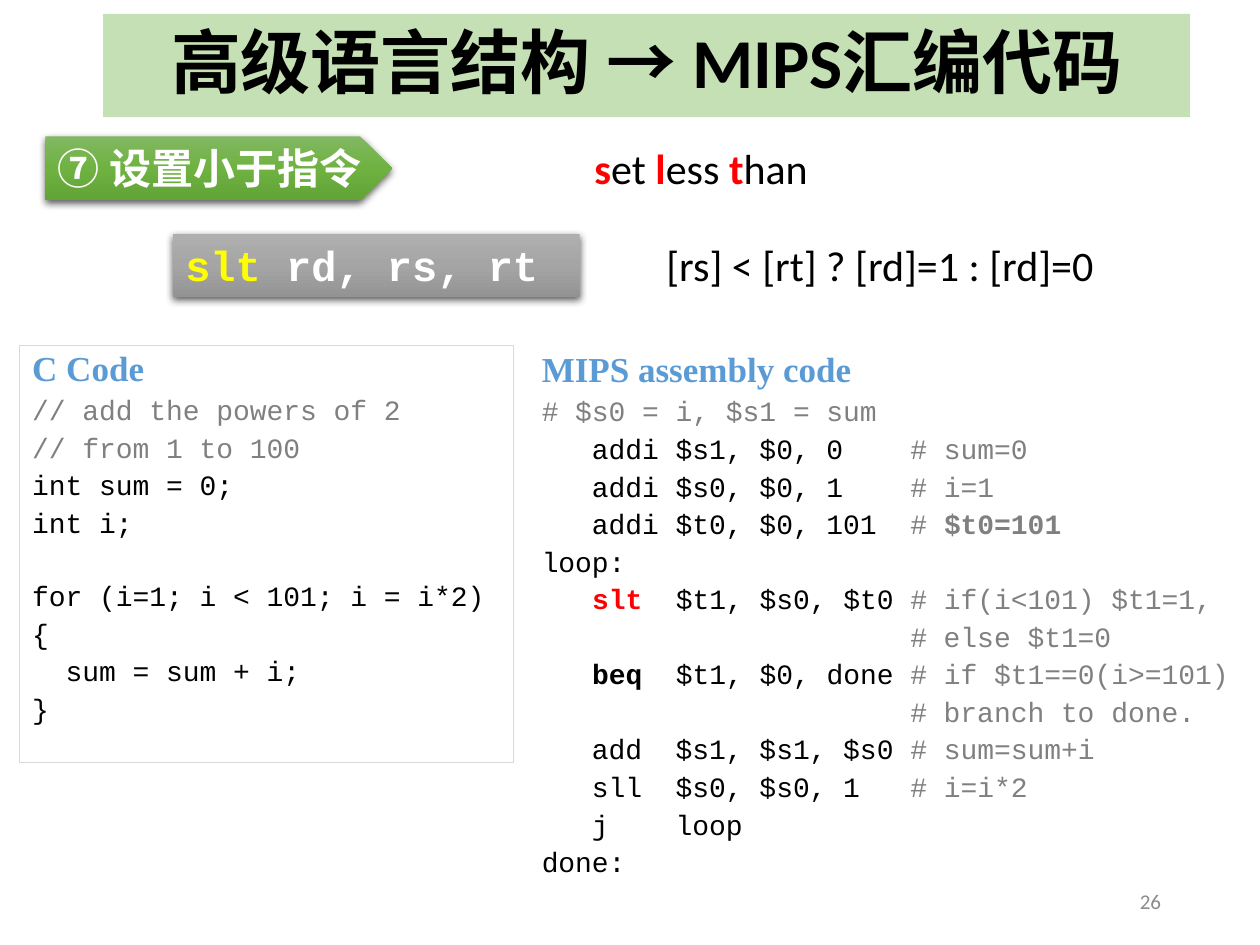
import copy
import lxml.etree
import pptx
import pptx.util
import pptx.dml.color
import pptx.enum.shapes
import pptx.enum.text
import pptx.oxml
import pptx.oxml.ns

Pt = pptx.util.Pt
RGB = pptx.dml.color.RGBColor.from_string
Kind = pptx.enum.shapes.MSO_SHAPE
Side = pptx.enum.text.PP_ALIGN
Hold = pptx.enum.text.MSO_ANCHOR

HUES = {
    "black": "000000", "white": "FFFFFF", "red": "FF0000", "yellow": "FFFF00",
    "note": "808080", "head": "5B9BD5", "edge": "D9D9D9", "band": "C5E0B4", "page": "8C8C8C",
}
GREEN = ["81B861", "6FB242", "62A336"]
GRAY = ["AFAFAF", "A5A5A5", "939393"]
SHADE = (
    f'<a:effectLst {pptx.oxml.ns.nsdecls("a")}>'
    '<a:outerShdw blurRad="57150" dist="19050" dir="5400000" algn="ctr" rotWithShape="0">'
    '<a:srgbClr val="000000"><a:alpha val="63000"/></a:srgbClr>'
    '</a:outerShdw></a:effectLst>'
)


def put(para, text, hue="black", bold=False, size=24, face="Calibri"):
    """Add one run of text to a paragraph."""
    run = para.add_run()
    run.text = text
    run.font.size = Pt(size)
    run.font.name = face
    run.font.bold = bold
    run.font.color.rgb = RGB(HUES[hue])


class Deck:
    """Hold the style and the current slide."""

    code = {"size": 16, "face": "Courier New"}
    title = {"size": 20, "face": "Times New Roman", "hue": "head", "bold": True}
    gap = 4.2
    skip = 24.7

    def __init__(self):
        """Start a deck with one blank slide."""
        self.show = pptx.Presentation()
        self.show.slide_width, self.show.slide_height = Pt(720), Pt(540)
        self.slide = self.show.slides.add_slide(self.show.slide_layouts[6])

    def shape(self, kind, box, fill=None, line=None):
        """Draw a preset shape with a plain fill and line."""
        item = self.slide.shapes.add_shape(kind, *map(Pt, box))
        item.shadow.inherit = False
        if fill:
            item.fill.solid()
            item.fill.fore_color.rgb = RGB(HUES[fill])
        else:
            item.fill.background()
        if line:
            item.line.color.rgb = RGB(HUES[line])
            item.line.width = Pt(0.75)
        else:
            item.line.fill.background()
        return item

    def badge(self, kind, box, tones):
        """Draw a shape with a three-tone gradient and a soft shadow."""
        item = self.shape(kind, box)
        item.fill.gradient()
        item.fill.gradient_angle = 270
        props = item.element.spPr
        first = props.find(".//" + pptx.oxml.ns.qn("a:gs"))
        mid = copy.deepcopy(first)
        mid.set("pos", "50000")
        first.addnext(mid)
        for stop, tone in zip(item.fill.gradient_stops, tones):
            stop.color.rgb = RGB(tone)
        old = props.find(pptx.oxml.ns.qn("a:effectLst"))
        props.replace(old, pptx.oxml.parse_xml(SHADE))
        return item

    def area(self, box):
        """Add an empty text box."""
        return self.slide.shapes.add_textbox(*map(Pt, box))

    def label(self, item, parts, side=Side.LEFT, hold=Hold.TOP, wrap=False, **fmt):
        """Write one line of runs in a shape."""
        frame = item.text_frame
        frame.word_wrap = wrap
        frame.vertical_anchor = hold
        para = frame.paragraphs[0]
        para.alignment = side
        for text, *look in parts:
            put(para, text, *look, **fmt)
        return para

    def listing(self, item, head, lines, breaks=()):
        """Write a heading and lines of code, with a wider gap at each break."""
        para = self.label(item, [], wrap=True)
        para.line_spacing = 0.9
        put(para, head, **self.title)
        for row, parts in enumerate(lines):
            para = item.text_frame.add_paragraph()
            para.alignment = Side.LEFT
            para.line_spacing = 0.9
            para.space_before = Pt(self.skip if row in breaks else self.gap)
            for text, *look in parts:
                put(para, text, *look, **self.code)


def main():
    """Build the slide and save it."""
    deck = Deck()
    band = deck.shape(Kind.RECTANGLE, (59, 8, 621, 59), "band")
    para = deck.label(band, [("高级语言结构 → MIPS汇编代码", "black", True)],
                      Side.CENTER, Hold.MIDDLE, True, size=40)
    para.line_spacing = 0.9

    topic = deck.badge(Kind.PENTAGON, (26, 78, 198, 36.4), GREEN)
    deck.label(topic, [("⑦ 设置小于指令", "white", True)])

    c_box = deck.shape(Kind.RECTANGLE, (11.3, 197.3, 282.2, 238.3), line="edge")
    deck.listing(c_box, "C Code", [
        [("// add the powers of 2", "note")],
        [("// from 1 to 100", "note")],
        [("int sum = 0;",)],
        [("int i;",)],
        [("for (i=1; i < 101; i = i*2)",)],
        [("{",)],
        [("  sum = sum + i;",)],
        [("}",)],
    ], breaks=(4,))

    asm = deck.area((302.5, 198, 410, 324))
    deck.listing(asm, "MIPS assembly code", [
        [("# $s0 = i, $s1 = sum", "note")],
        [("   addi $s1, $0, 0    ",), ("# sum=0", "note")],
        [("   addi $s0, $0, 1    ",), ("# i=1", "note")],
        [("   addi $t0, $0, 101  ",), ("# ", "note"), ("$t0=101", "note", True)],
        [("loop:",)],
        [("   ",), ("slt  ", "red", True), ("$t1, $s0, $t0 ",), ("# if(i<101) $t1=1,", "note")],
        [("                      # else $t1=0", "note")],
        [("   ",), ("beq  ", "black", True), ("$t1, $0, done ",), ("# if $t1==0(i>=101)", "note")],
        [("                      # branch to done.", "note")],
        [("   add  $s1, $s1, $s0 ",), ("# sum=sum+i", "note")],
        [("   sll  $s0, $s0, 1   ",), ("# i=i*2", "note")],
        [("   j    loop",)],
        [("done:",)],
    ])

    form = deck.badge(Kind.RECTANGLE, (98.8, 133.5, 232.4, 36.4), GRAY)
    deck.label(form, [("slt ", "yellow", True), ("rd, rs, rt", "white", True)],
               face="Courier New")
    deck.label(deck.area((373.7, 133.5, 260.6, 36.4)), [("[rs] < [rt] ? [rd]=1 : [rd]=0",)])
    deck.label(deck.area((508.5, 500.5, 162, 28.75)), [("26", "page")],
               Side.RIGHT, Hold.MIDDLE, True, size=12)
    deck.label(deck.area((332.6, 78, 137.5, 36.4)), [
        ("s", "red", True), ("et ",), ("l", "red", True), ("ess ",), ("t", "red", True), ("han",),
    ])
    deck.show.save("out.pptx")


if __name__ == "__main__":
    main()
